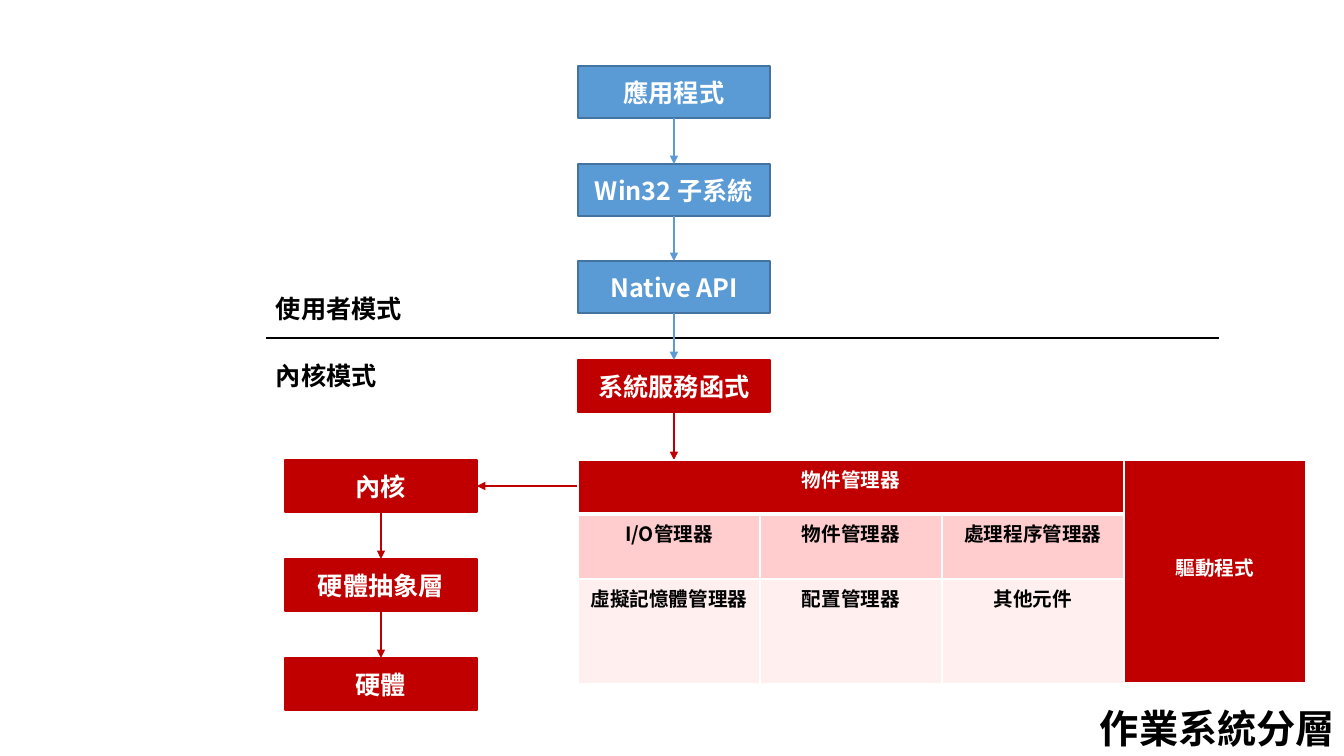
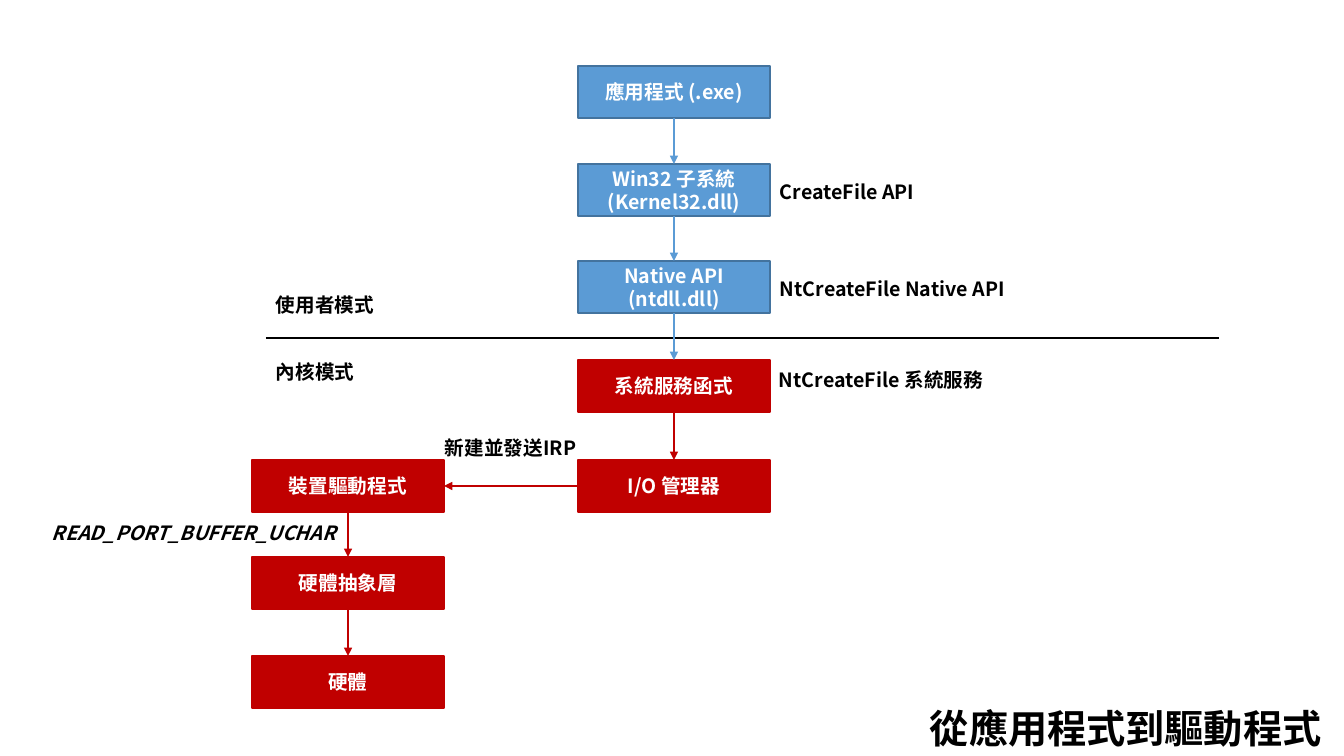
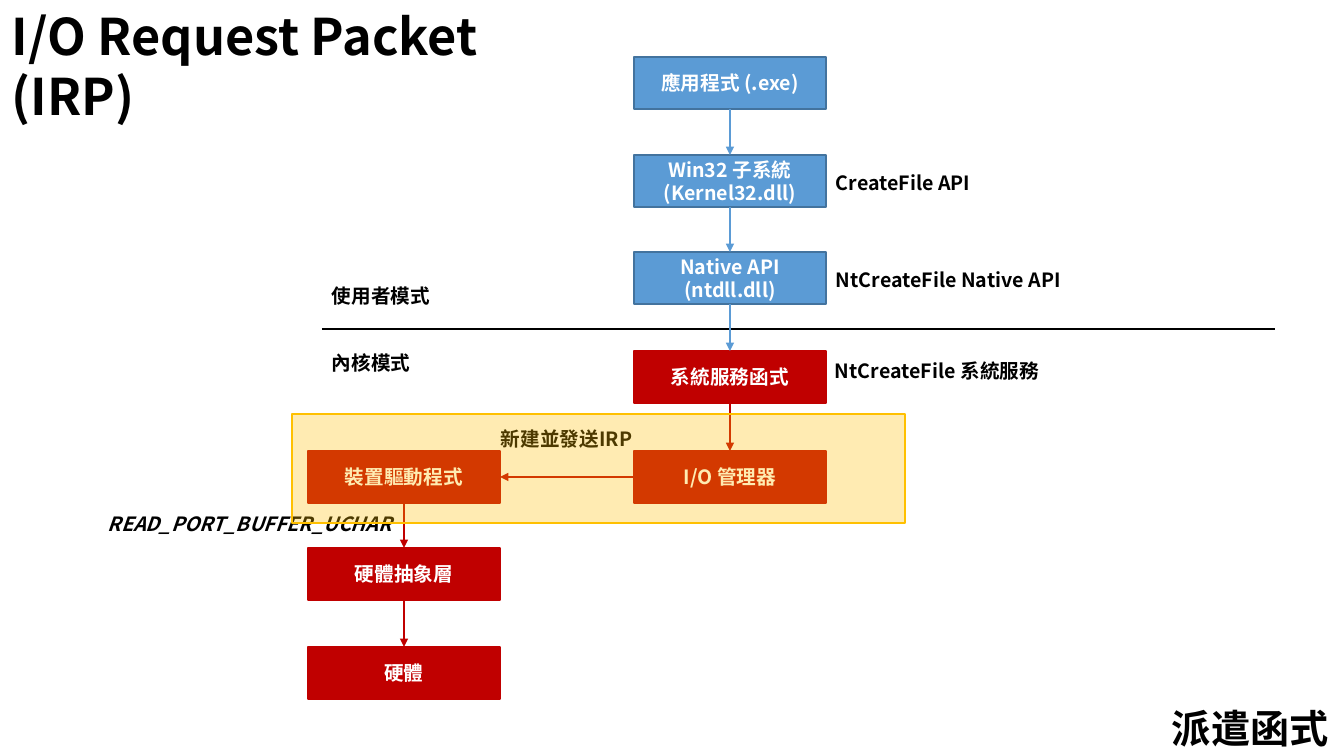
from lxml import etree
from pptx import Presentation
from pptx.dml.color import RGBColor
from pptx.enum.shapes import MSO_CONNECTOR, MSO_SHAPE
from pptx.enum.text import MSO_ANCHOR, MSO_AUTO_SIZE, PP_ALIGN
from pptx.oxml.ns import qn
from pptx.util import Pt

STRAIGHT = MSO_CONNECTOR.STRAIGHT
RECTANGLE = MSO_SHAPE.RECTANGLE
MIDDLE = MSO_ANCHOR.MIDDLE
FIT_SHAPE = MSO_AUTO_SIZE.SHAPE_TO_FIT_TEXT
LEFT, CENTER = PP_ALIGN.LEFT, PP_ALIGN.CENTER
TOP_SIDE, LEFT_SIDE, BOTTOM_SIDE, RIGHT_SIDE = range(4)

INCH = 914400
PX = INCH / 100.8
FONT = "Noto Sans CJK SC"
BLUE, BLUE_EDGE, RED = "5B9BD5", "43739E", "C00000"
BLACK, WHITE, AMBER = "000000", "FFFFFF", "FFC000"
PINK, PALE_PINK = "FFCDCD", "FFEFEF"

BOX_WIDTH, BOX_HEIGHT = 192, 52
MAIN_LEFT = 578
MAIN_TOPS = (66, 164, 261, 360, 460)
USER_BOXES = 3
TITLE_TOP, TITLE_HEIGHT, TITLE_SIZE = 699, 57, 28


def px(*lengths):
    return [round(length * PX) for length in lengths]


def write(frame, text, size, color, align=LEFT, italic=None):
    """Fill a text frame with bold text, one paragraph per line."""
    frame.word_wrap = True
    for index, line in enumerate(text.split("\n")):
        paragraph = frame.add_paragraph() if index else frame.paragraphs[0]
        paragraph.text = line
        paragraph.alignment = align
        font = paragraph.font
        font.size, font.bold, font.italic = Pt(size), True, italic
        font.color.rgb = RGBColor.from_string(color)
        font.name = FONT
        properties = paragraph._p.pPr.find(qn("a:defRPr"))
        etree.SubElement(properties, qn("a:ea"), typeface=FONT)


presentation = Presentation()
presentation.slide_width, presentation.slide_height = px(1344, 756)

call_boxes = ["應用程式 (.exe)", "Win32 子系統\n(Kernel32.dll)",
              "Native API\n(ntdll.dll)", "系統服務函式", "I/O 管理器"]
driver_boxes = ["裝置驅動程式", "硬體抽象層", "硬體"]
# Text, left, top, width, italic
call_labels = [
    ("CreateFile API", 770, 175, 182, None),
    ("NtCreateFile Native API", 770, 272, 259, None),
    ("NtCreateFile 系統服務", 769, 363, 226, None),
    ("新建並發送IRP", 435, 431, 154, None),
    ("READ_PORT_BUFFER_UCHAR", 42, 516, 306, True),
]
driver_flow = {"size": 14, "main": call_boxes, "side": driver_boxes,
               "side_left": 252, "side_tops": (460, 557, 656),
               "labels": call_labels}
layers = {"size": 18,
          "main": ["應用程式", "Win32 子系統", "Native API", "系統服務函式", ""],
          "side": ["內核", "硬體抽象層", "硬體"],
          "side_left": 285, "side_tops": (460, 559, 658), "labels": []}
# Title, title left, title width, diagram, shift right, shift down
pages = [
    ("作業系統分層", 1090, 258, layers, 0, 0),
    ("從應用程式到驅動程式", 920, 424, driver_flow, 0, 0),
    ("派遣函式", 1162, 182, driver_flow, 56, -9),
]

for title, title_left, title_width, diagram, shift_x, shift_y in pages:
    slide = presentation.slides.add_slide(presentation.slide_layouts[6])
    shapes = slide.shapes
    size = diagram["size"]

    boxes = []
    places = [(MAIN_LEFT, top) for top in MAIN_TOPS]
    places += [(diagram["side_left"], top) for top in diagram["side_tops"]]
    for index, (text, (left, top)) in enumerate(
            zip(diagram["main"] + diagram["side"], places)):
        fill, edge = (BLUE, BLUE_EDGE) if index < USER_BOXES else (RED, RED)
        box = shapes.add_shape(RECTANGLE, *px(
            left + shift_x, top + shift_y, BOX_WIDTH, BOX_HEIGHT))
        box.shadow.inherit = False
        box.fill.solid()
        box.fill.fore_color.rgb = RGBColor.from_string(fill)
        box.line.color.rgb = RGBColor.from_string(edge)
        box.line.width = Pt(1)
        box.text_frame.vertical_anchor = MIDDLE
        if text:
            write(box.text_frame, text, size, WHITE, CENTER)
        boxes.append(box)

    # The mode boundary comes first, then the arrows between successive boxes
    for index in range(len(boxes)):
        line = shapes.add_connector(STRAIGHT, *px(
            266 + shift_x, 338 + shift_y, 1219 + shift_x, 338 + shift_y))
        color = BLACK if index == 0 else BLUE if index <= USER_BOXES else RED
        line.line.color.rgb = RGBColor.from_string(color)
        line.line.width = Pt(2)
        if index:
            sideways = index == len(MAIN_TOPS)
            line.begin_connect(boxes[index - 1],
                               LEFT_SIDE if sideways else BOTTOM_SIDE)
            line.end_connect(boxes[index],
                             RIGHT_SIDE if sideways else TOP_SIDE)
            etree.SubElement(line.line._get_or_add_ln(), qn("a:tailEnd"),
                             type="triangle")
        etree.SubElement(line._element.spPr, qn("a:effectLst"))

    labels = [("使用者模式", 266, 288, 156, None),
              ("內核模式", 266, 355, 132, None)] + diagram["labels"]
    texts = [(text, left + shift_x, top + shift_y, width, 34, size, italic)
             for text, left, top, width, italic in labels]
    texts.append((title, title_left, TITLE_TOP, title_width, TITLE_HEIGHT,
                  TITLE_SIZE, None))
    if title == "派遣函式":
        texts.append(("I/O Request Packet (IRP)", 2, 0, 599, 72, 36, None))
    for text, left, top, width, height, text_size, italic in texts:
        text_box = shapes.add_textbox(*px(left, top, width, height))
        write(text_box.text_frame, text, text_size, BLACK, italic=italic)
        text_box.text_frame.auto_size = FIT_SHAPE

# Executive components on the first slide
COLUMN_WIDTH, ROW_HEIGHTS = 182, (54, 65, 105)
rows = [
    ["物件管理器", "", "", "驅動程式"],
    ["I/O管理器", "物件管理器", "處理程序管理器", ""],
    ["虛擬記憶體管理器", "配置管理器", "其他元件", ""],
]
table = presentation.slides[0].shapes.add_table(3, 4, *px(
    MAIN_LEFT, 460, 4 * COLUMN_WIDTH, sum(ROW_HEIGHTS))).table
for column in table.columns:
    column.width = px(COLUMN_WIDTH)[0]
for row, height in zip(table.rows, ROW_HEIGHTS):
    row.height = px(height)[0]
table.cell(0, 0).merge(table.cell(0, 2))
table.cell(0, 3).merge(table.cell(2, 3))
for row_index, (row, fill) in enumerate(zip(rows, (RED, PINK, PALE_PINK))):
    for column_index, text in enumerate(row):
        cell = table.cell(row_index, column_index)
        if cell.is_spanned:
            continue
        properties = cell._tc.get_or_add_tcPr()
        for side in ("lnL", "lnR", "lnT", "lnB"):
            heavy = (row_index, side) in ((0, "lnB"), (1, "lnT"))
            border = etree.SubElement(properties, qn("a:" + side),
                                      w=str(Pt(3 if heavy else 1)))
            paint = etree.SubElement(border, qn("a:solidFill"))
            etree.SubElement(paint, qn("a:srgbClr"), val=WHITE)
        cell.fill.solid()
        cell.fill.fore_color.rgb = RGBColor.from_string(fill)
        write(cell.text_frame, text, 14, BLACK if row_index else WHITE, CENTER)
driver_cell = table.cell(0, 3)
driver_cell.vertical_anchor = MIDDLE
driver_cell.margin_bottom = px(15)[0]

# Highlight over the request packet step on the last slide
highlight = presentation.slides[2].shapes.add_shape(
    RECTANGLE, *px(292, 414, 613, 109))
highlight.shadow.inherit = False
highlight.fill.solid()
highlight.fill.fore_color.rgb = RGBColor.from_string(AMBER)
highlight.line.color.rgb = RGBColor.from_string(AMBER)
highlight.line.width = Pt(1)
fill_color = highlight._element.spPr.find(qn("a:solidFill")).find(qn("a:srgbClr"))
etree.SubElement(fill_color, qn("a:alpha"), val="30000")

presentation.save("out.pptx")
